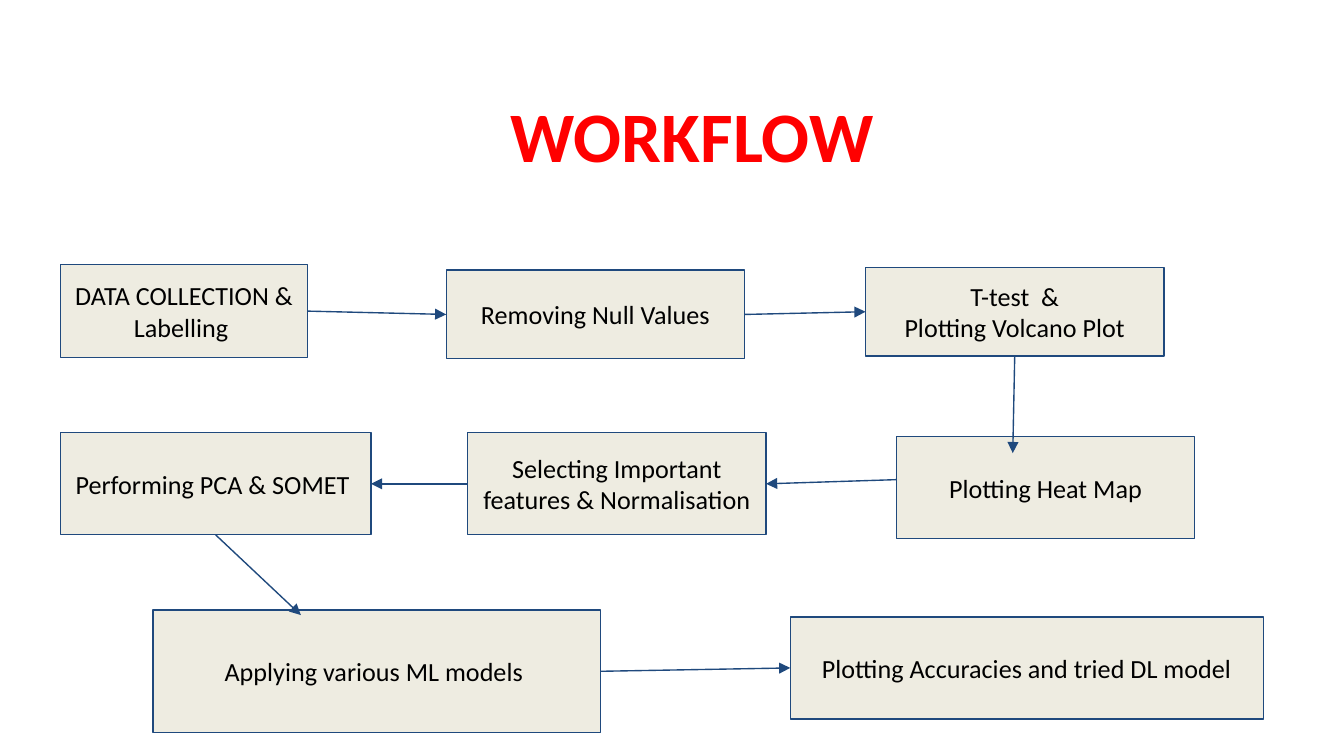
"""Build the workflow slide: a title and eight-step process joined by arrows."""
import pptx
import pptx.dml.color
import pptx.enum.shapes
import pptx.enum.text
import pptx.oxml.ns
import pptx.util
from lxml import etree

SLIDE_WIDTH = 10
SLIDE_HEIGHT = SLIDE_WIDTH * 9 / 16
COLORS = {"box": "EEECE1", "line": "1F497D", "text": "000000", "title": "FF0000"}
FONT = "Calibri"
TITLE = ("WORKFLOW", (1.18, 0.58, 7.94, 1.22))
STEPS = {
    "collect": (["DATA COLLECTION & Labelling "], (0.45, 1.97, 1.84, 0.69)),
    "clean": (["Removing Null Values"], (3.32, 2.01, 2.22, 0.66)),
    "test": (["T-test  &", "Plotting Volcano Plot"], (6.44, 1.99, 2.22, 0.66)),
    "heat": (["Plotting Heat Map"], (6.67, 3.25, 2.22, 0.76)),
    "select": (["Selecting Important features & Normalisation"], (3.48, 3.22, 2.22, 0.76)),
    "reduce": (["Performing PCA & SOMET "], (0.45, 3.22, 2.31, 0.76)),
    "model": (["Applying various ML models "], (1.14, 4.54, 3.33, 0.91)),
    "accuracy": (["Plotting Accuracies and tried DL model"], (5.88, 4.59, 3.52, 0.76)),
}
LEFT, RIGHT, BOTTOM = (0, 0.5), (1, 0.5), (0.5, 1)
ARROWS = [
    ("collect", RIGHT, "clean", LEFT),
    ("clean", RIGHT, "test", LEFT),
    ("test", BOTTOM, "heat", (0.39, 0.16)),
    ("heat", (0, 0.42), "select", RIGHT),
    ("select", LEFT, "reduce", RIGHT),
    ("reduce", BOTTOM, "model", (0.33, 0.04)),
    ("model", RIGHT, "accuracy", LEFT),
]


def rgb(name):
    return pptx.dml.color.RGBColor.from_string(COLORS[name])


def inches(values):
    return [pptx.util.Inches(value) for value in values]


def write(shape, lines, size, color, anchor, bold=False):
    frame = shape.text_frame
    frame.word_wrap = True
    frame.vertical_anchor = anchor
    frame.margin_left = frame.margin_right = pptx.util.Inches(0.1)
    frame.margin_top = frame.margin_bottom = pptx.util.Inches(0.1)
    frame.text = "\n".join(lines)
    for paragraph in frame.paragraphs:
        paragraph.alignment = pptx.enum.text.PP_ALIGN.CENTER
        paragraph.font.name = FONT
        paragraph.font.size = pptx.util.Pt(size)
        paragraph.font.bold = bold
        paragraph.font.color.rgb = rgb(color)


def outline(shape):
    shape.line.color.rgb = rgb("line")
    shape.line.width = pptx.util.Pt(0.75)


def add_step(slide, lines, box):
    shape = slide.shapes.add_shape(pptx.enum.shapes.MSO_SHAPE.RECTANGLE, *inches(box))
    shape.shadow.inherit = False
    shape.fill.solid()
    shape.fill.fore_color.rgb = rgb("box")
    outline(shape)
    write(shape, lines, 14, "text", pptx.enum.text.MSO_ANCHOR.MIDDLE)


def point_on(step, share):
    left, top, width, height = STEPS[step][1]
    return left + width * share[0], top + height * share[1]


def add_arrow(slide, start, start_share, end, end_share):
    points = point_on(start, start_share) + point_on(end, end_share)
    connector = slide.shapes.add_connector(
        pptx.enum.shapes.MSO_CONNECTOR.STRAIGHT, *inches(points))
    outline(connector)
    qn = pptx.oxml.ns.qn
    properties = connector._element.spPr
    etree.SubElement(properties.find(qn("a:ln")), qn("a:tailEnd"), type="triangle")
    etree.SubElement(properties, qn("a:effectLst"))


def main():
    presentation = pptx.Presentation()
    presentation.slide_width, presentation.slide_height = inches((SLIDE_WIDTH, SLIDE_HEIGHT))
    slide = presentation.slides.add_slide(presentation.slide_layouts[6])
    title, title_box = TITLE
    write(slide.shapes.add_textbox(*inches(title_box)), [title], 38, "title",
          pptx.enum.text.MSO_ANCHOR.TOP, bold=True)
    for lines, box in STEPS.values():
        add_step(slide, lines, box)
    for arrow in ARROWS:
        add_arrow(slide, *arrow)
    presentation.save("out.pptx")


if __name__ == "__main__":
    main()
